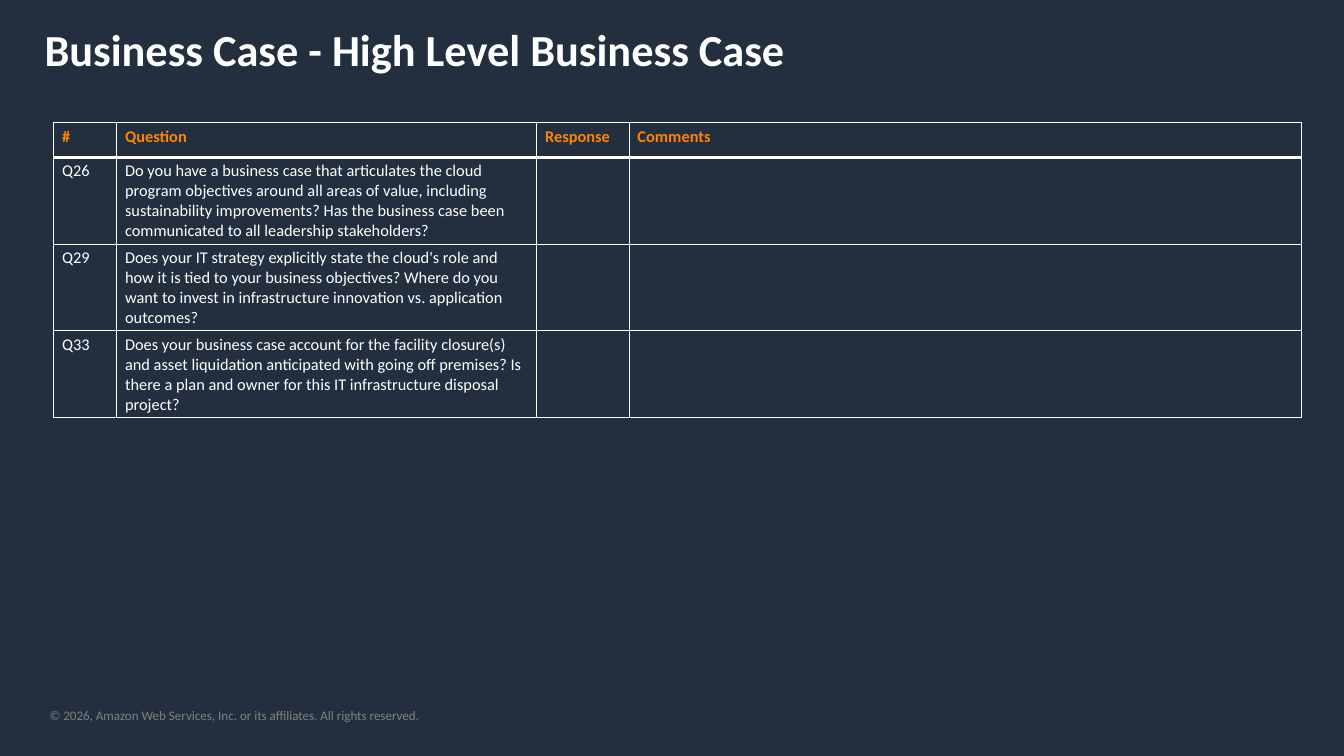
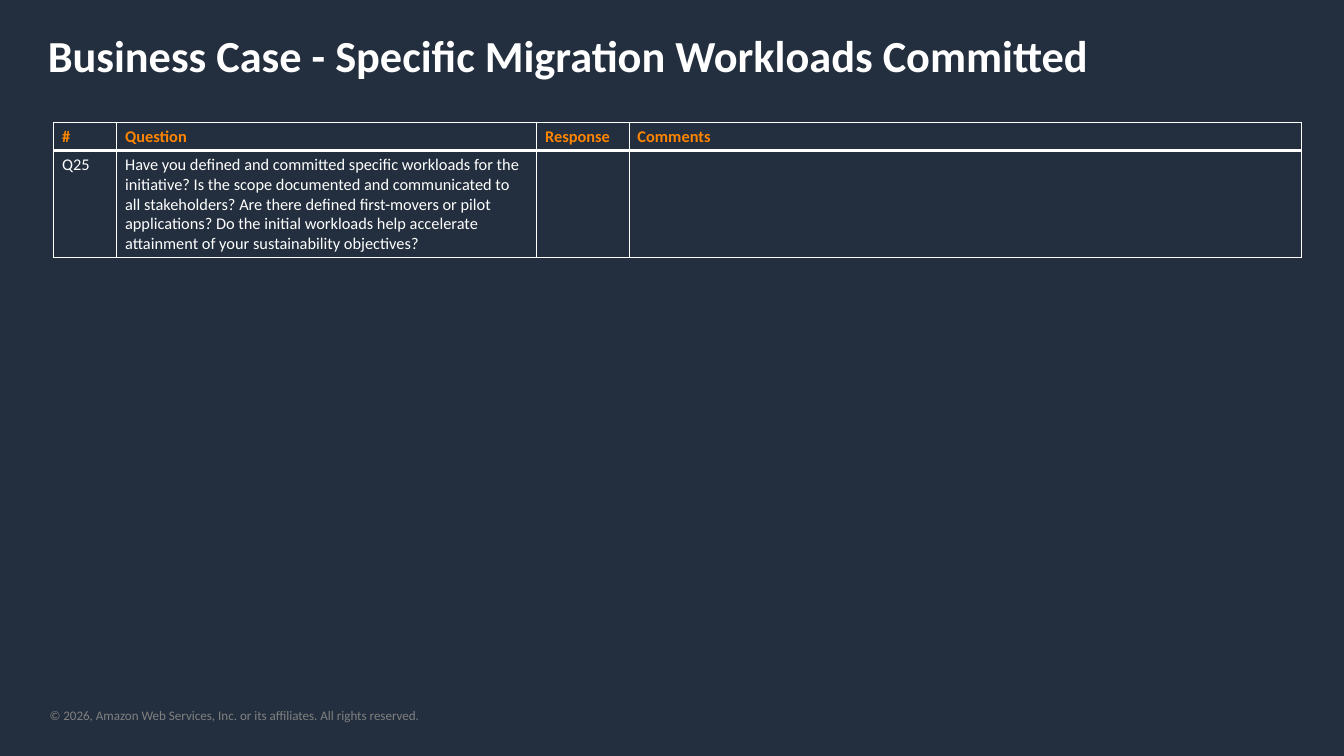
"""Build two business case question slides."""
from lxml.etree import SubElement
from pptx import Presentation
from pptx.dml.color import RGBColor
from pptx.enum.text import MSO_ANCHOR, MSO_AUTO_SIZE, PP_ALIGN
from pptx.oxml.ns import qn
from pptx.util import Pt

NAVY = RGBColor(0x23, 0x2F, 0x3E)
WHITE = RGBColor(0xFF, 0xFF, 0xFF)
ORANGE = RGBColor(0xFF, 0x85, 0x00)
GREY = RGBColor(0x80, 0x80, 0x80)

TITLE = {"size": Pt(38), "bold": True, "color": WHITE}
HEAD = {"size": Pt(14), "bold": True, "color": ORANGE}
BODY = {"size": Pt(14), "bold": False, "color": WHITE}
NOTE = {"size": Pt(11.2), "bold": False, "color": GREY}

FOOTER = "© 2026, Amazon Web Services, Inc. or its affiliates. All rights reserved."
HEADS = ["#", "Question", "Response", "Comments"]
WIDTHS = [54, 360, 79.2, 576]
SLIDES = [
    {
        "title": "Business Case - High Level Business Case",
        "place": (31, 15.8, 1100, 53.3),
        "row": 29.7,
        "items": [
            ("Q26", "Do you have a business case that articulates the cloud program "
             "objectives around all areas of value, including sustainability "
             "improvements? Has the business case been communicated to all "
             "leadership stakeholders?"),
            ("Q29", "Does your IT strategy explicitly state the cloud's role and how "
             "it is tied to your business objectives? Where do you want to invest in "
             "infrastructure innovation vs. application outcomes?"),
            ("Q33", "Does your business case account for the facility closure(s) and "
             "asset liquidation anticipated with going off premises? Is there a plan "
             "and owner for this IT infrastructure disposal project?"),
        ],
    },
    {
        "title": "Business Case - Specific Migration Workloads Committed",
        "place": (33.8, 20.2, 1098.7, 53.3),
        "row": 20,
        "items": [
            ("Q25", "Have you defined and committed specific workloads for the "
             "initiative? Is the scope documented and communicated to all "
             "stakeholders? Are there defined first-movers or pilot applications? "
             "Do the initial workloads help accelerate attainment of your "
             "sustainability objectives?"),
        ],
    },
]


def write(frame, text, style):
    frame.text = text
    para = frame.paragraphs[0]
    para.alignment = PP_ALIGN.LEFT
    para.font.name = "Calibri"
    for key, value in style.items():
        if key == "color":
            para.font.color.rgb = value
        else:
            setattr(para.font, key, value)


def border(cell, sides):
    props = cell._tc.get_or_add_tcPr()
    for side, width in sides.items():
        line = SubElement(props, qn(f"a:ln{side}"), w=str(Pt(width)))
        fill = SubElement(line, qn("a:solidFill"))
        SubElement(fill, qn("a:srgbClr"), val=str(WHITE))


prs = Presentation()
prs.slide_width, prs.slide_height = Pt(1152), Pt(648)
back = prs.slide_master.background.fill
back.solid()
back.fore_color.rgb = NAVY

for data in SLIDES:
    slide = prs.slides.add_slide(prs.slide_layouts[5])

    note = slide.shapes.add_textbox(Pt(42.5), Pt(606.2), Pt(560), Pt(13.7)).text_frame
    note.word_wrap = True
    for side in ("left", "top", "right", "bottom"):
        setattr(note, f"margin_{side}", 0)
    write(note, FOOTER, NOTE)

    title = slide.shapes.title
    for key, value in zip(("left", "top", "width", "height"), data["place"]):
        setattr(title, key, Pt(value))
    title.text_frame.auto_size = MSO_AUTO_SIZE.NONE
    title.text_frame.vertical_anchor = MSO_ANCHOR.TOP
    write(title.text_frame, data["title"], TITLE)

    rows = [HEADS] + [[code, ask, "", ""] for code, ask in data["items"]]
    table = slide.shapes.add_table(
        len(rows), len(HEADS), Pt(46), Pt(105),
        Pt(sum(WIDTHS)), Pt(data["row"] * len(rows))).table
    for col, width in zip(table.columns, WIDTHS):
        col.width = Pt(width)
    for r, texts in enumerate(rows):
        table.rows[r].height = Pt(data["row"])
        sides = {"L": 1, "R": 1, "T": 3 if r == 1 else 1, "B": 3 if r == 0 else 1}
        for c, text in enumerate(texts):
            cell = table.cell(r, c)
            border(cell, sides)
            cell.fill.background()
            write(cell.text_frame, text, BODY if r else HEAD)

prs.save("out.pptx")
